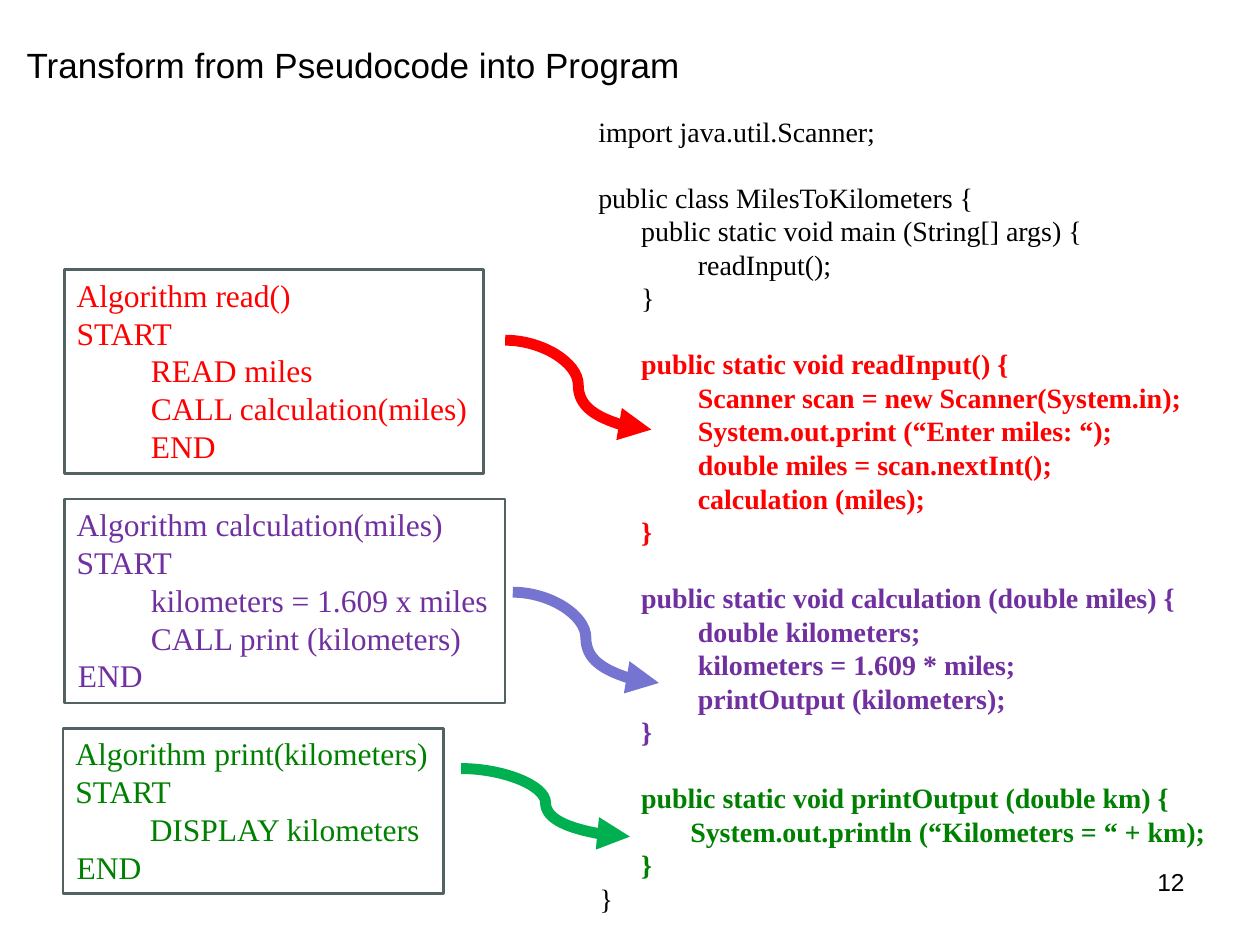
from pptx import Presentation
from pptx.dml.color import RGBColor
from pptx.enum.shapes import MSO_CONNECTOR
from pptx.enum.text import MSO_ANCHOR, MSO_AUTO_SIZE, PP_ALIGN
from pptx.oxml.ns import qn
from pptx.util import Inches, Pt
from lxml import etree

CURVE = MSO_CONNECTOR.CURVE
TOP, MIDDLE = MSO_ANCHOR.TOP, MSO_ANCHOR.MIDDLE
LEFT, CENTER, RIGHT = PP_ALIGN.LEFT, PP_ALIGN.CENTER, PP_ALIGN.RIGHT
GROW = MSO_AUTO_SIZE.SHAPE_TO_FIT_TEXT

BLACK = RGBColor(0x00, 0x00, 0x00)
RED = RGBColor(0xFF, 0x00, 0x00)
PURPLE = RGBColor(0x70, 0x30, 0xA0)
GREEN = RGBColor(0x00, 0x80, 0x00)
SLATE = RGBColor(0x52, 0x62, 0x63)
LILAC = RGBColor(0x75, 0x75, 0xD1)
LEAF = RGBColor(0x00, 0xB0, 0x50)

WIDTH, HEIGHT = Inches(10), Inches(7.5)
COL, ROW = WIDTH / 100, HEIGHT / 75
SANS, SERIF = "Arial", "Times New Roman"
GAP = Pt(18.4)  # one empty line of code

# Indents, in columns
STEP, NUDGE = 5.9, 0.1
BODY, DEEP, PRINT = 3.4, 7.9, 7.3

# Left, top, width, height, colour, lines
BOXES = [
    (5.1, 21.4, 33.3, 16.2, RED, [
        (0, "Algorithm read()"), (0, "START"), (STEP, "READ miles"),
        (STEP, "CALL calculation(miles)"), (STEP, "END")]),
    (5.1, 39.6, 35, 16.2, PURPLE, [
        (0, "Algorithm calculation(miles)"), (0, "START"),
        (STEP, "kilometers = 1.609 x miles"),
        (STEP, "CALL print (kilometers)"), (NUDGE, "END")]),
    (5, 57.8, 30.2, 13.1, GREEN, [
        (0, "Algorithm print(kilometers)"), (0, "START"),
        (STEP, "DISPLAY kilometers"), (NUDGE, "END")]),
]

# Each block: colour, bold, space before, lines
CODE = [
    (BLACK, False, 0, [(0, "import java.util.Scanner;")]),
    (BLACK, False, GAP, [
        (0, "public class MilesToKilometers {"),
        (BODY, "public static void main (String[] args) {"),
        (DEEP, "readInput();"), (BODY, "}")]),
    (RED, True, GAP, [
        (BODY, "public static void readInput() {"),
        (DEEP, "Scanner scan = new Scanner(System.in);"),
        (DEEP, "System.out.print (“Enter miles: “);"),
        (DEEP, "double miles = scan.nextInt();"),
        (DEEP, "calculation (miles);"), (BODY, "}")]),
    (PURPLE, True, GAP, [
        (BODY, "public static void calculation (double miles) {"),
        (DEEP, "double kilometers;"),
        (DEEP, "kilometers = 1.609 * miles;"),
        (DEEP, "printOutput (kilometers);"), (BODY, "}")]),
    (GREEN, True, GAP, [
        (BODY, "public static void printOutput (double km) {"),
        (PRINT, "System.out.println (“Kilometers = “ + km);"),
        (BODY, "}")]),
    (BLACK, False, 0, [(NUDGE, "}")]),
]

# Start column and row, end column and row, colour
ARROWS = [
    (40.1, 27, 51.7, 34.1, RED),
    (40.7, 47, 52.3, 54.2, LILAC),
    (36.6, 61, 50, 66.4, LEAF),
]


def at(col, row):
    return round(col * COL), round(row * ROW)


def add_box(slide, left, top, width, height, wrap=True, anchor=TOP):
    box = slide.shapes.add_textbox(*at(left, top), *at(width, height))
    frame = box.text_frame
    frame.word_wrap = wrap
    frame.vertical_anchor = anchor
    return box


def add_line(frame, text, font, size, color, indent=0, bold=False,
             before=0, align=LEFT):
    """Write one paragraph, using the empty first one if it is free."""
    para = frame.paragraphs[0]
    if para.runs:
        para = frame.add_paragraph()
    para.add_run().text = text
    para.alignment = align
    if indent:
        para._p.get_or_add_pPr().set("marL", str(round(indent * COL)))
    if before:
        para.space_before = before
    para.font.name = font
    para.font.size = Pt(size)
    para.font.bold = bold
    para.font.color.rgb = color


def add_steps(slide, left, top, width, height, color, lines):
    """Draw a framed box of pseudocode."""
    box = add_box(slide, left, top, width, height, wrap=False)
    box.text_frame.auto_size = GROW
    box.line.color.rgb = SLATE
    box.line.width = Pt(1.5)
    for indent, text in lines:
        add_line(box.text_frame, text, SERIF, 18, color, indent)


def add_code(slide):
    frame = add_box(slide, 46.5, 8.6, 53.5, 65.6).text_frame
    frame.auto_size = GROW
    for color, bold, gap, lines in CODE:
        for i, (indent, text) in enumerate(lines):
            add_line(frame, text, SERIF, 16, color, indent, bold,
                     0 if i else gap)


def add_arrow(slide, left, top, right, foot, color):
    arrow = slide.shapes.add_connector(CURVE, *at(left, top), *at(right, foot))
    arrow.line.color.rgb = color
    arrow.line.width = Pt(6.25)
    etree.SubElement(arrow.line._get_or_add_ln(), qn("a:tailEnd"),
                     type="triangle")
    etree.SubElement(arrow._element.spPr, qn("a:effectLst"))


def main():
    deck = Presentation()
    deck.slide_width, deck.slide_height = WIDTH, HEIGHT
    slide = deck.slides.add_slide(deck.slide_layouts[6])

    title = add_box(slide, -0.1, 1.7, 56.3, 6.8, anchor=MIDDLE)
    add_line(title.text_frame, "Transform from Pseudocode into Program",
             SANS, 20, BLACK, align=CENTER)
    page = add_box(slide, 71.7, 68.3, 23.3, 5.2)
    add_line(page.text_frame, "12", SANS, 14, BLACK, align=RIGHT)

    for box in BOXES:
        add_steps(slide, *box)
    add_code(slide)
    for arrow in ARROWS:
        add_arrow(slide, *arrow)
    deck.save("out.pptx")


if __name__ == "__main__":
    main()
